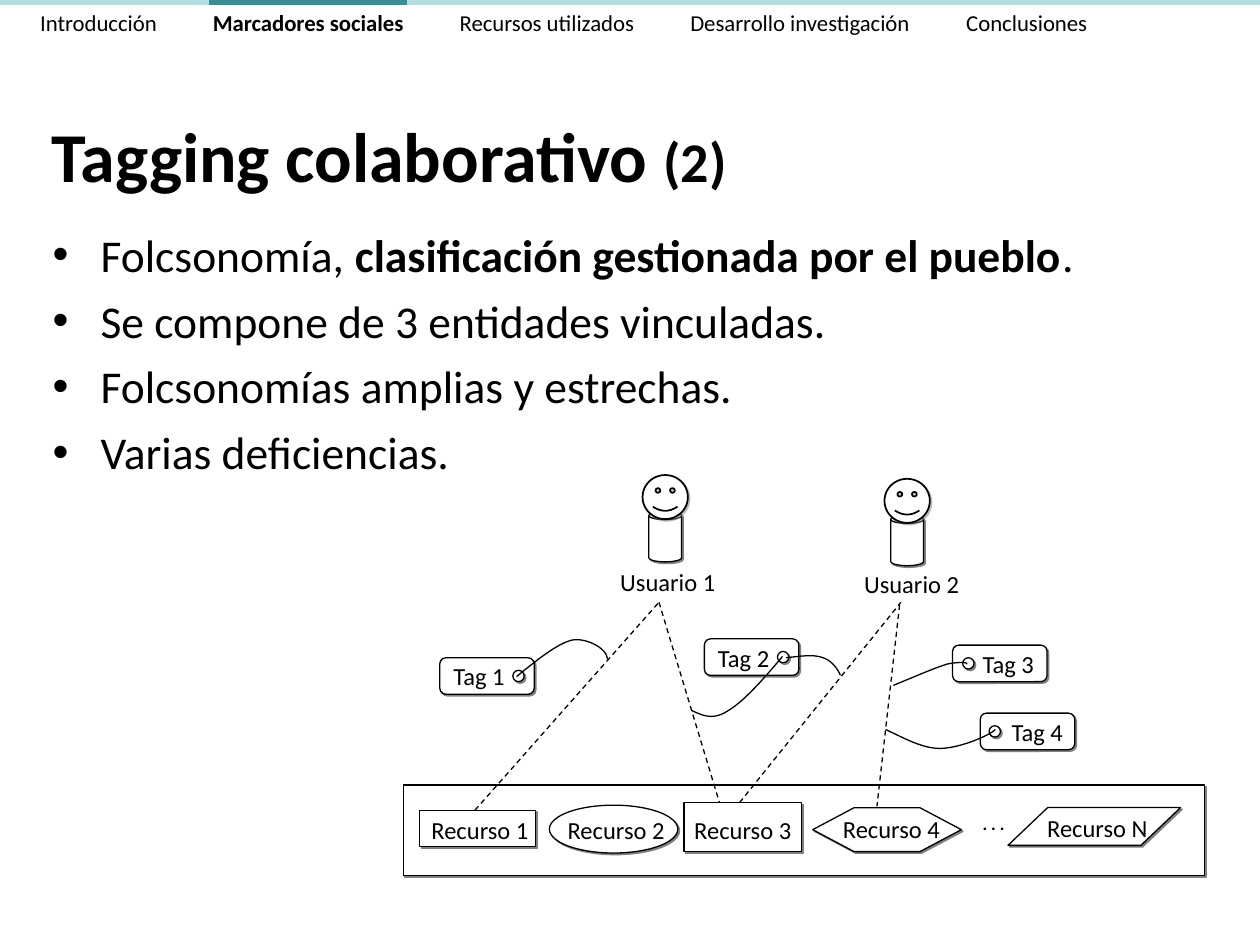
from lxml import etree
from pptx import Presentation
from pptx.dml.color import RGBColor
from pptx.enum.dml import MSO_LINE_DASH_STYLE as DASH
from pptx.enum.shapes import MSO_CONNECTOR, MSO_SHAPE as SHAPE
from pptx.enum.text import MSO_ANCHOR, PP_ALIGN as ALIGN
from pptx.oxml.ns import qn
from pptx.util import Emu, Inches, Pt

FONT = "Calibri"
COLORS = {"ink": "000000", "paper": "FFFFFF", "bar": "B5DEE1",
          "active": "3C8C93", "shadow": "808080"}

SECTIONS = ["Introducción", "Marcadores sociales", "Recursos utilizados",
            "Desarrollo investigación", "Conclusiones"]
ACTIVE_SECTION = "Marcadores sociales"
SECTION_TABS = [1.37, 3.33, 5.16, 7.35]

# Runs are (text, size, bold)
TITLE = [("Tagging colaborativo ", 40, True), ("(2)", 32, True)]
BULLETS = [
    [("Folcsonomía, ", 26, False),
     ("clasificación gestionada por el pueblo", 26, True), (".", 26, False)],
    [("Se compone de 3 entidades vinculadas.", 26, False)],
    [("Folcsonomías amplias y estrechas.", 26, False)],
    [("Varias deficiencias.", 26, False)],
]

# Label, label box, body left and top
USERS = [("Usuario 1", (4.79, 4.45, 1.02, 0.25), 5.15, 4.06),
         ("Usuario 2", (6.69, 4.47, 1.09, 0.33), 7.07, 4.09)]

RESOURCE_FRAME = (3.2, 6.23, 6.36, 0.72)
# Label, label box, outline, outline box, adjustments
RESOURCES = [
    ("Recurso 1", (3.31, 6.42, 1, 0.35), SHAPE.RECTANGLE, (3.33, 6.43, 0.92, 0.29), ()),
    ("Recurso 2", (4.35, 6.42, 1.08, 0.35), SHAPE.OVAL, (4.36, 6.39, 1.02, 0.38), ()),
    ("Recurso 3", (5.39, 6.42, 1.01, 0.35), SHAPE.RECTANGLE, (5.43, 6.37, 0.93, 0.39), ()),
    ("Recurso 4", (6.52, 6.41, 1.11, 0.35), SHAPE.HEXAGON, (6.45, 6.41, 1.18, 0.35),
     (0.94, 1.15)),
    ("Recurso N", (8.16, 6.4, 1.1, 0.35), SHAPE.PARALLELOGRAM, (8, 6.41, 1.37, 0.3),
     (1.05,)),
]
ELLIPSIS = (". . .", (7.7, 6.4, 0.41, 0.4))

# Label, left, top, hole offset, label offset
TAGS = [("Tag 1", 3.49, 5.22, 0.58, 0.01), ("Tag 2", 5.59, 5.07, 0.58, 0.01),
        ("Tag 3", 7.56, 5.12, 0.08, 0.14), ("Tag 4", 7.78, 5.66, 0.07, 0.15)]

USER_LINKS = [((3.77, 6.43), (5.23, 4.78)), ((5.23, 4.78), (5.71, 6.37)),
              ((5.87, 6.37), (7.15, 4.78)), ((7.14, 4.8), (6.96, 6.4))]

# Chains of cubic curves: a start point, then three points per curve
TAG_STRINGS = [
    [(4.1, 5.37), (4.26, 5.24), (4.42, 5.11), (4.54, 5.08),
     (4.66, 5.06), (4.82, 5.15), (4.82, 5.23)],
    [(6.21, 5.21), (6.06, 5.39), (5.9, 5.57), (5.78, 5.64),
     (5.66, 5.72), (5.58, 5.68), (5.49, 5.64)],
    [(6.24, 5.22), (6.35, 5.21), (6.45, 5.19), (6.53, 5.22),
     (6.6, 5.24), (6.65, 5.31), (6.67, 5.36)],
    [(7.09, 5.44), (7.26, 5.37), (7.42, 5.3), (7.52, 5.27),
     (7.62, 5.25), (7.69, 5.26), (7.67, 5.27)],
    [(7.03, 5.79), (7.18, 5.86), (7.32, 5.94), (7.46, 5.94),
     (7.61, 5.94), (7.85, 5.84), (7.9, 5.79)],
]
CURVE_STEPS = 12


def rgb(name):
    return RGBColor.from_string(COLORS[name])


def add_runs(p, runs):
    for text, size, bold in runs:
        r = p.add_run()
        r.text = text
        r.font.name, r.font.size, r.font.bold = FONT, Pt(size), bold
        r.font.color.rgb = rgb("ink")


def add_text(s, box, paragraphs, align=ALIGN.LEFT):
    tf = s.shapes.add_textbox(*map(Inches, box)).text_frame
    tf.word_wrap = True
    for i, runs in enumerate(paragraphs):
        p = tf.add_paragraph() if i else tf.paragraphs[0]
        p.alignment = align
        add_runs(p, runs)
    return tf


def set_line(line, width=0.75):
    line.color.rgb = rgb("ink")
    line.width = Pt(width)


def add_bar(s, box, color):
    sp = s.shapes.add_shape(SHAPE.RECTANGLE, *map(Inches, box))
    sp.shadow.inherit = False
    sp.fill.solid()
    sp.fill.fore_color.rgb = rgb(color)
    sp.line.fill.background()


def add_outline(s, kind, box, adjustments=(), width=0.75, opacity=100):
    """White shape with a black line and a small hard shadow."""
    sp = s.shapes.add_shape(kind, *map(Inches, box))
    for i, value in enumerate(adjustments):
        sp.adjustments[i] = value
    sp.fill.solid()
    sp.fill.fore_color.rgb = rgb("paper")
    set_line(sp.line, width)
    sp.shadow.inherit = False
    effects = sp.element.spPr.find(qn("a:effectLst"))
    shadow = etree.SubElement(effects, qn("a:outerShdw"), dist=str(Pt(1.4)),
                              dir="2700000", algn="ctr", rotWithShape="0")
    color = etree.SubElement(shadow, qn("a:srgbClr"), val=COLORS["shadow"])
    etree.SubElement(color, qn("a:alpha"), val=str(opacity * 1000))


def add_dashed_line(s, start, end):
    line = s.shapes.add_connector(MSO_CONNECTOR.STRAIGHT, *map(Inches, start + end))
    set_line(line.line)
    line.line.dash_style = DASH.DASH
    etree.SubElement(line.element.spPr, qn("a:effectLst"))


def curve_point(points, t):
    weights = ((1 - t) ** 3, 3 * t * (1 - t) ** 2, 3 * t * t * (1 - t), t ** 3)
    return tuple(Inches(sum(w * pt[axis] for w, pt in zip(weights, points)))
                 for axis in (0, 1))


def add_curve(s, points):
    vertices = [curve_point(points[i:i + 4], step / CURVE_STEPS)
                for i in range(0, len(points) - 1, 3)
                for step in range(1, CURVE_STEPS + 1)]
    builder = s.shapes.build_freeform(*map(Inches, points[0]))
    builder.add_line_segments(vertices, close=False)
    sp = builder.convert_to_shape()
    sp.shadow.inherit = False
    sp.fill.background()
    set_line(sp.line)


def add_title(s):
    title = s.shapes.title
    title.left, title.top, title.width, title.height = map(Inches, (0.31, 0.86, 9.61, 0.74))
    title.text_frame.vertical_anchor = MSO_ANCHOR.MIDDLE
    p = title.text_frame.paragraphs[0]
    p.alignment = ALIGN.LEFT
    add_runs(p, TITLE)


def add_bullets(s):
    tf = add_text(s, (0.32, 1.75, 9.37, 2.2), BULLETS)
    for i, p in enumerate(tf.paragraphs):
        pPr = p._p.get_or_add_pPr()
        pPr.set("marL", str(Inches(0.38)))
        pPr.set("indent", str(-Inches(0.38)))
        etree.SubElement(pPr, qn("a:buFont"), typeface="Arial")
        etree.SubElement(pPr, qn("a:buChar"), char="•")
        if i:
            p.space_before = Pt(6.5)


def add_navigation(s):
    add_bar(s, (0, 0, 10, 0.04), "bar")
    runs = [("\t" * (i > 0) + name, 13, name == ACTIVE_SECTION)
            for i, name in enumerate(SECTIONS)]
    tf = add_text(s, (0.22, 0.02, 9.65, 0.32), [runs])
    tabs = etree.SubElement(tf.paragraphs[0]._p.get_or_add_pPr(), qn("a:tabLst"))
    for position in SECTION_TABS:
        etree.SubElement(tabs, qn("a:tab"), pos=str(Inches(position)), algn="l")
    add_bar(s, (1.66, 0, 1.57, 0.04), "active")


def add_diagram(s):
    add_outline(s, SHAPE.RECTANGLE, RESOURCE_FRAME)
    for label, label_box, kind, box, adjustments in RESOURCES:
        add_outline(s, kind, box, adjustments)
        add_text(s, label_box, [[(label, 14, False)]], ALIGN.CENTER)
    dots, box = ELLIPSIS
    add_text(s, box, [[(dots, 10, True)]])
    for start, end in USER_LINKS:
        add_dashed_line(s, start, end)
    for label, x, y, hole_dx, label_dx in TAGS:
        add_outline(s, SHAPE.ROUNDED_RECTANGLE, (x, y, 0.75, 0.29), (0.17,))
        add_outline(s, SHAPE.OVAL, (x + hole_dx, y + 0.1, 0.09, 0.09))
        add_text(s, (x + label_dx, y - 0.02, 0.64, 0.32), [[(label, 14, False)]])
    for points in TAG_STRINGS:
        add_curve(s, points)
    for label, label_box, x, y in USERS:
        add_text(s, label_box, [[(label, 14, False)]], ALIGN.CENTER)
        add_outline(s, SHAPE.CAN, (x, y, 0.26, 0.4), (0.25,))
        add_outline(s, SHAPE.SMILEY_FACE, (x - 0.05, y - 0.29, 0.36, 0.35),
                    width=1, opacity=50)


def main():
    prs = Presentation()
    prs.slide_width, prs.slide_height = Inches(10), Inches(7.5)
    s = prs.slides.add_slide(prs.slide_layouts[5])
    add_title(s)
    add_bullets(s)
    add_diagram(s)
    add_navigation(s)
    prs.save("out.pptx")


if __name__ == "__main__":
    main()
